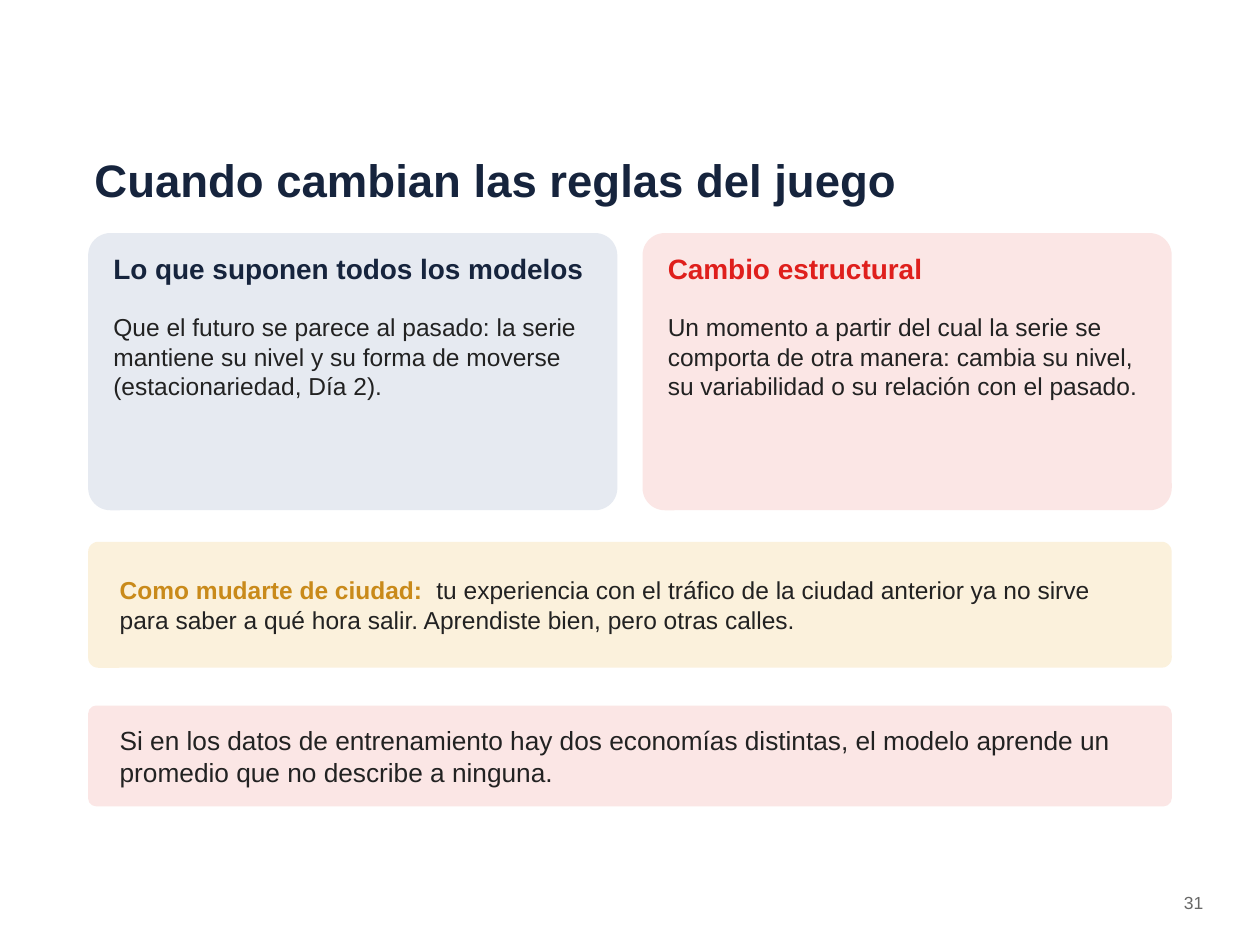
from pptx import Presentation
from pptx.dml.color import RGBColor
from pptx.enum.shapes import MSO_SHAPE as Shape
from pptx.enum.text import MSO_ANCHOR as Anchor, MSO_AUTO_SIZE as AutoSize, PP_ALIGN as Align
from pptx.util import Pt

COLORS = {
    "navy": "16243D", "red": "DF1F1C", "amber": "C98A1A", "ink": "222222",
    "grey": "686867", "pale_blue": "E6EAF1", "pale_red": "FBE6E5", "pale_amber": "FBF1DC",
}
FONT = "Arial"

TITLE = "Cuando cambian las reglas del juego"
PAGE_NUMBER = "31"
# heading, heading colour, body, fill
CARDS = [
    ("Lo que suponen todos los modelos", "navy",
     "Que el futuro se parece al pasado: la serie mantiene su nivel y su forma "
     "de moverse (estacionariedad, Día 2).", "pale_blue"),
    ("Cambio estructural", "red",
     "Un momento a partir del cual la serie se comporta de otra manera: cambia su nivel, "
     "su variabilidad o su relación con el pasado.", "pale_red"),
]
# top, height, fill, text size, runs of (text, colour, bold)
BANNERS = [
    (309.6, 72, "pale_amber", 14, [
        ("Como mudarte de ciudad:  ", "amber", True),
        ("tu experiencia con el tráfico de la ciudad anterior ya no sirve para saber "
         "a qué hora salir. Aprendiste bien, pero otras calles.", "ink", False)]),
    (403.2, 57.6, "pale_red", 15, [
        ("Si en los datos de entrenamiento hay dos economías distintas, el modelo aprende "
         "un promedio que no describe a ninguna.", "ink", False)]),
]

SLIDE_W, SLIDE_H = 720, 540
MARGIN = 50.4
CONTENT_W = SLIDE_W - 2 * MARGIN
CARD_TOP, CARD_H, CARD_GAP, CARD_PAD = 133.2, 158.4, 14.4, 10.8
CARD_W = (CONTENT_W - CARD_GAP * (len(CARDS) - 1)) / len(CARDS)
BANNER_PAD = 14.4


def rgb(name):
    return RGBColor.from_string(COLORS[name])


def add_panel(slide, left, top, width, height, fill):
    panel = slide.shapes.add_shape(
        Shape.ROUNDED_RECTANGLE, Pt(left), Pt(top), Pt(width), Pt(height))
    panel.adjustments[0] = 0.08
    panel.shadow.inherit = False
    panel.fill.solid()
    panel.fill.fore_color.rgb = rgb(fill)
    panel.line.fill.background()


def add_text(slide, runs, left, top, width, height, *, size, color="ink", bold=False,
             align=Align.LEFT, anchor=Anchor.TOP):
    """Add a text box; runs is a string or a list of (text, colour, bold)."""
    if isinstance(runs, str):
        runs = [(runs, color, bold)]
    frame = slide.shapes.add_textbox(Pt(left), Pt(top), Pt(width), Pt(height)).text_frame
    frame.word_wrap = True
    frame.auto_size = AutoSize.SHAPE_TO_FIT_TEXT
    frame.vertical_anchor = anchor
    frame.margin_left = frame.margin_right = Pt(3.6)
    frame.margin_top = frame.margin_bottom = Pt(2.16)
    paragraph = frame.paragraphs[0]
    paragraph.alignment = align
    paragraph.space_after = Pt(4)
    for words, run_color, run_bold in runs:
        run = paragraph.add_run()
        run.text = words
        run.font.name = FONT
        run.font.size = Pt(size)
        run.font.bold = run_bold
        run.font.color.rgb = rgb(run_color)


def main():
    deck = Presentation()
    deck.slide_width, deck.slide_height = Pt(SLIDE_W), Pt(SLIDE_H)
    slide = deck.slides.add_slide(deck.slide_layouts[6])

    add_text(slide, TITLE, MARGIN, 75.6, CONTENT_W, 54,
             size=26, color="navy", bold=True, anchor=Anchor.MIDDLE)
    add_text(slide, PAGE_NUMBER, 648, 507.6, 43.2, 21.6,
             size=10, color="grey", align=Align.RIGHT)

    for column, (heading, heading_color, body, fill) in enumerate(CARDS):
        left = MARGIN + column * (CARD_W + CARD_GAP)
        text_left, text_w = left + CARD_PAD, CARD_W - 2 * CARD_PAD
        add_panel(slide, left, CARD_TOP, CARD_W, CARD_H, fill)
        add_text(slide, heading, text_left, CARD_TOP + 8.64, text_w, 32.4,
                 size=16, color=heading_color, bold=True)
        add_text(slide, body, text_left, CARD_TOP + 43.2, text_w, 108, size=14)

    for top, height, fill, size, runs in BANNERS:
        add_panel(slide, MARGIN, top, CONTENT_W, height, fill)
        add_text(slide, runs, MARGIN + BANNER_PAD, top, CONTENT_W - 2 * BANNER_PAD, height,
                 size=size, anchor=Anchor.MIDDLE)

    deck.save("out.pptx")


if __name__ == "__main__":
    main()
